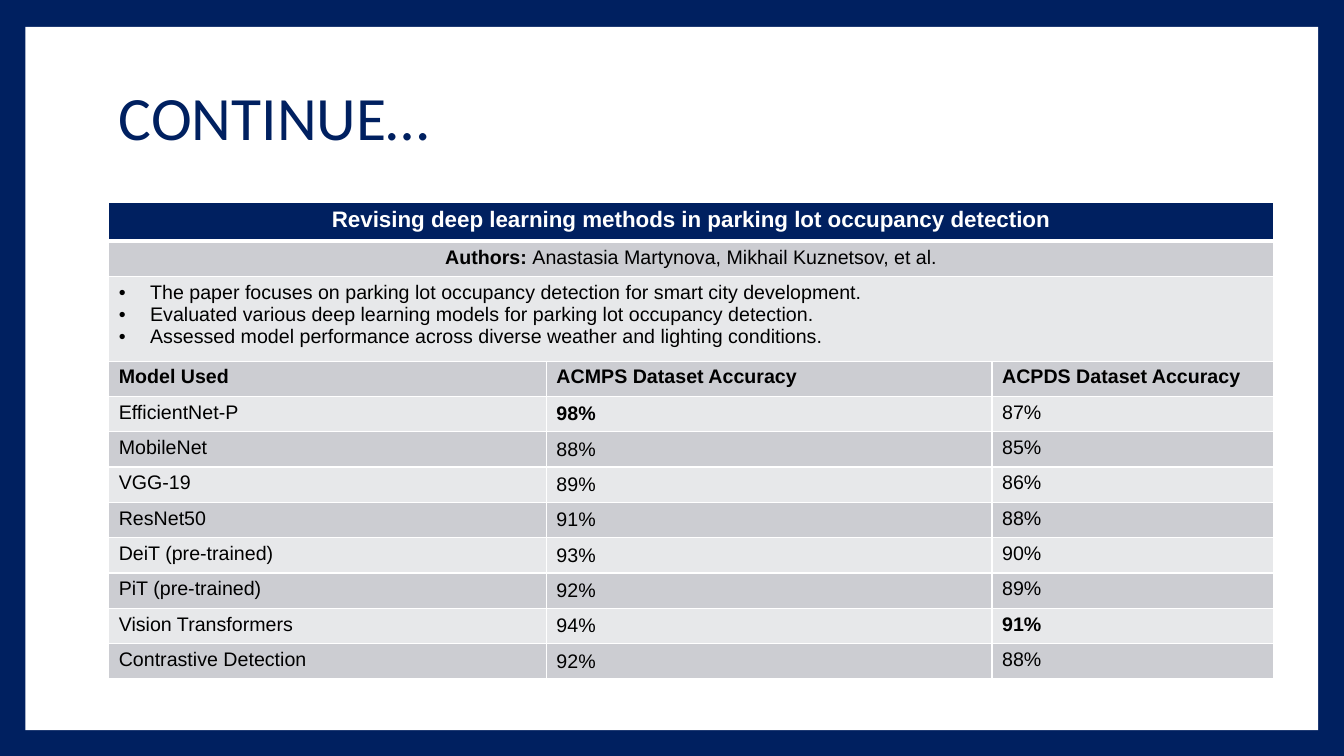
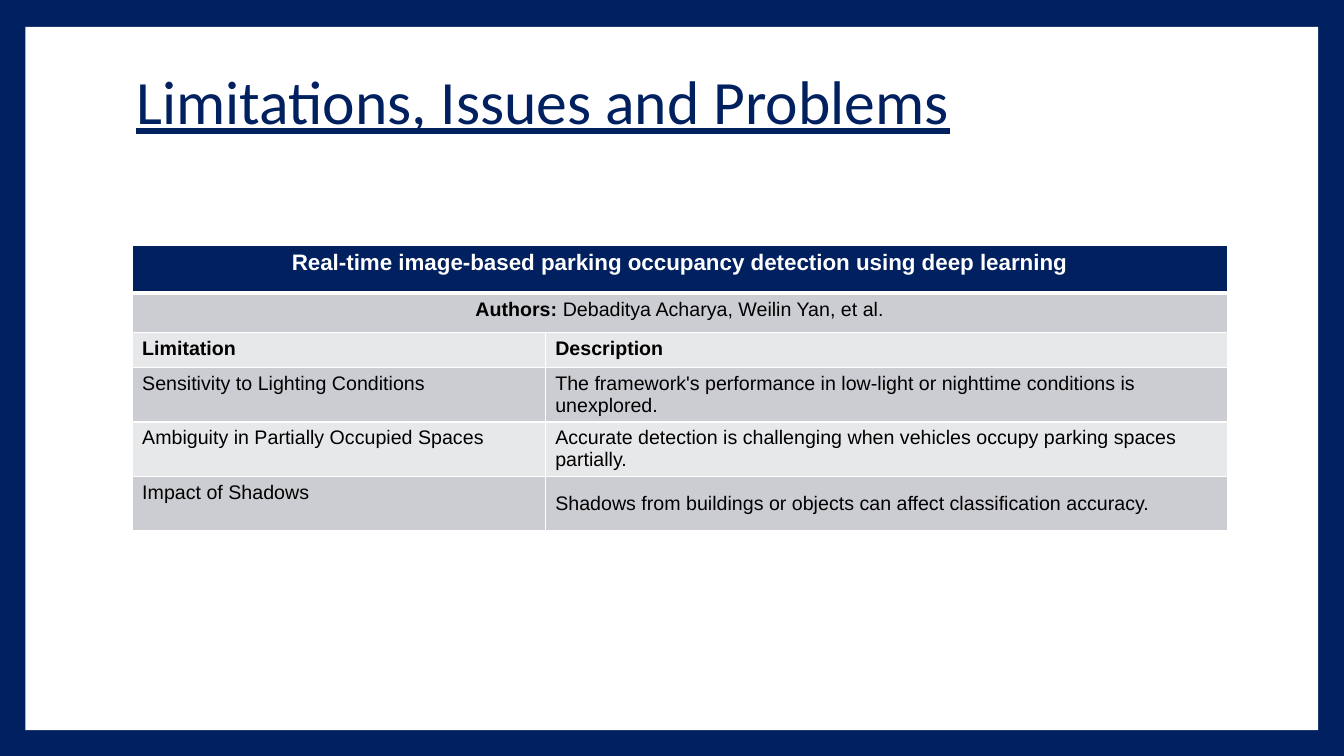
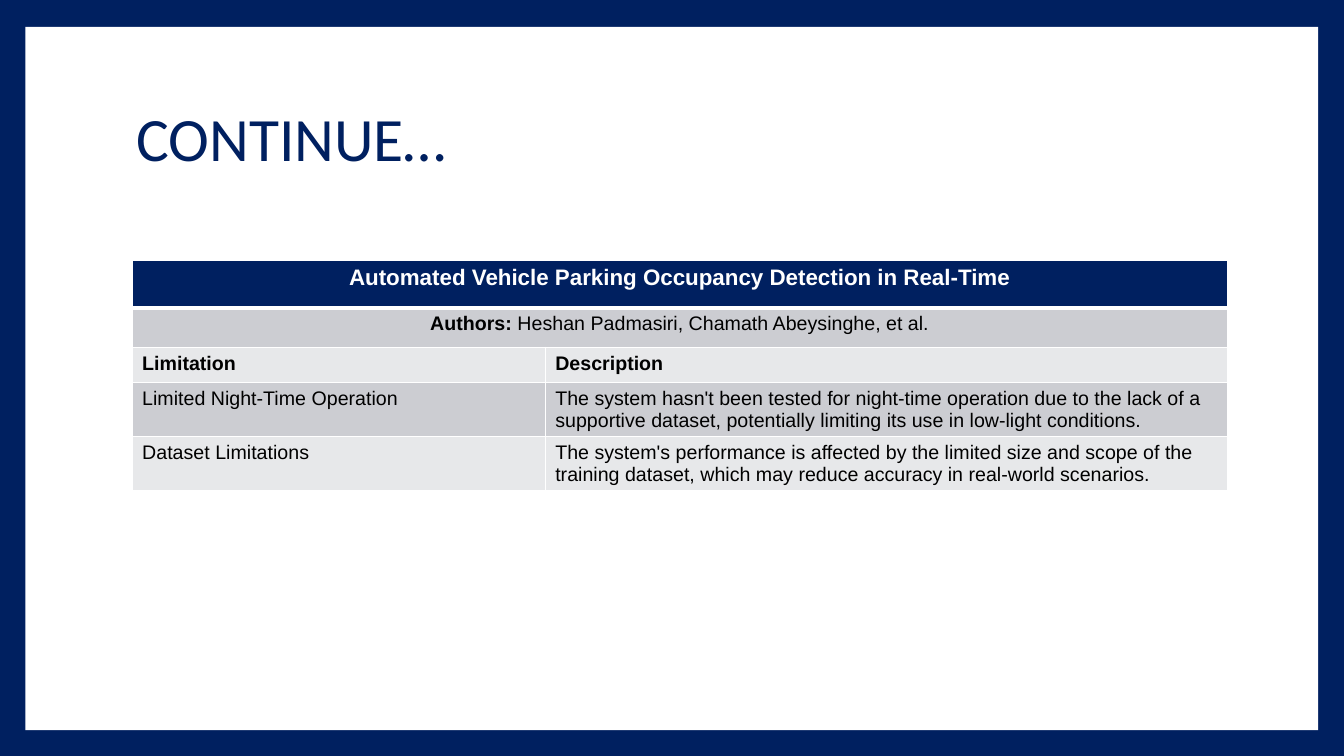
from lxml.etree import SubElement
from pptx import Presentation
from pptx.dml.color import RGBColor
from pptx.enum.shapes import MSO_SHAPE as Preset
from pptx.enum.text import MSO_ANCHOR as Anchor, PP_ALIGN as Align
from pptx.oxml import parse_xml
from pptx.oxml.ns import nsdecls, qn
from pptx.util import Cm, Pt

NAVY = RGBColor(0x00, 0x20, 0x60)
WHITE = RGBColor(0xFF, 0xFF, 0xFF)
BLACK = RGBColor(0x00, 0x00, 0x00)
DARK_BAND = RGBColor(0xCC, 0xCD, 0xD2)
LIGHT_BAND = RGBColor(0xE7, 0xE8, 0xEA)
TITLE_FONT, TABLE_FONT = "Calibri", "Arial"

# Content: lengths in centimetres
LIMITATION_LAYOUT = {
    "title_at": (3.18, 1.7),
    "columns": (10.41, 17.19),
    "top_rows": (1.2, 0.99),
    "row_height": 1.36,
    "header": ("Limitation", "Description"),
}
SLIDES = [
    {
        "title": "CONTINUE…",
        "title_at": (2.74, 1.17),
        "table_at": (2.74, 5.11),
        "columns": (11.03, 11.23, 7.1),
        "top_rows": (0.97, 0.89),
        "row_height": 0.89,
        "paper": "Revising deep learning methods in parking lot occupancy detection",
        "authors": "Anastasia Martynova, Mikhail Kuznetsov, et al.",
        "points": [
            "The paper focuses on parking lot occupancy detection for smart city development.",
            "Evaluated various deep learning models for parking lot occupancy detection.",
            "Assessed model performance across diverse weather and lighting conditions.",
        ],
        "header": ("Model Used", "ACMPS Dataset Accuracy", "ACPDS Dataset Accuracy"),
        "rows": [
            ("EfficientNet-P", "98%", "87%"),
            ("MobileNet", "88%", "85%"),
            ("VGG-19", "89%", "86%"),
            ("ResNet50", "91%", "88%"),
            ("DeiT (pre-trained)", "93%", "90%"),
            ("PiT (pre-trained)", "92%", "89%"),
            ("Vision Transformers", "94%", "91%"),
            ("Contrastive Detection", "92%", "88%"),
        ],
    },
    {
        **LIMITATION_LAYOUT,
        "title": "Limitations, Issues and Problems",
        "underline": True,
        "title_bottom_inset": 2,
        "table_at": (3.33, 6.19),
        "paper": "Real-time image-based parking occupancy detection using deep learning",
        "authors": "Debaditya Acharya, Weilin Yan, et al.",
        "rows": [
            ("Sensitivity to Lighting Conditions",
             "The framework's performance in low-light or nighttime conditions is unexplored."),
            ("Ambiguity in Partially Occupied Spaces",
             "Accurate detection is challenging when vehicles occupy parking spaces partially."),
            ("Impact of Shadows",
             "Shadows from buildings or objects can affect classification accuracy."),
        ],
    },
    {
        **LIMITATION_LAYOUT,
        "title": "CONTINUE…",
        "table_at": (3.33, 6.56),
        "paper": "Automated Vehicle Parking Occupancy Detection in Real-Time",
        "authors": "Heshan Padmasiri, Chamath Abeysinghe, et al.",
        "rows": [
            ("Limited Night-Time Operation",
             "The system hasn't been tested for night-time operation due to the lack of a "
             "supportive dataset, potentially limiting its use in low-light conditions."),
            ("Dataset Limitations",
             "The system's performance is affected by the limited size and scope of the "
             "training dataset, which may reduce accuracy in real-world scenarios."),
        ],
    },
]
POINTS_HEIGHT, HEADER_HEIGHT = 2.13, 0.89


def add_run(paragraph, text, size=14, color=BLACK, bold=False, font=TABLE_FONT):
    run = paragraph.add_run()
    run.text = text
    run.font.name, run.font.size, run.font.bold = font, Pt(size), bold
    run.font.color.rgb = color
    return run


def add_bullet(paragraph):
    properties = paragraph._p.get_or_add_pPr()
    properties.set("marL", str(Cm(0.79)))
    properties.set("indent", str(-Cm(0.79)))
    SubElement(properties, qn("a:buFont")).set("typeface", TABLE_FONT)
    SubElement(properties, qn("a:buChar")).set("char", "•")


def set_borders(cell, top=1, bottom=1):
    properties = cell._tc.get_or_add_tcPr()
    for index, (side, width) in enumerate(
            [("L", 1), ("R", 1), ("T", top), ("B", bottom)]):
        properties.insert(index, parse_xml(
            f'<a:ln{side} {nsdecls("a")} w="{Pt(width)}"><a:solidFill>'
            f'<a:srgbClr val="{WHITE}"/></a:solidFill></a:ln{side}>'))


def add_panel(slide):
    """White panel that leaves the navy background as a frame."""
    panel = slide.shapes.add_shape(
        Preset.RECTANGLE, Cm(0.64), Cm(0.68), Cm(32.58), Cm(17.72))
    panel.shadow.inherit = False
    panel.fill.solid()
    panel.fill.fore_color.rgb = WHITE
    panel.line.fill.background()
    slide.shapes.element.insert(2, panel.element)


def fill_title(title, content):
    title.left, title.top = map(Cm, content["title_at"])
    title.width, title.height = Cm(27.43), Cm(3.76)
    frame = title.text_frame
    frame.vertical_anchor = Anchor.MIDDLE
    frame.margin_bottom = Cm(content.get("title_bottom_inset", 0.13))
    paragraph = frame.paragraphs[0]
    paragraph.alignment = Align.LEFT
    paragraph.line_spacing = 0.9
    run = add_run(paragraph, content["title"], 44, NAVY, font=TITLE_FONT)
    run.font.underline = content.get("underline", False)


def add_paper_table(slide, content):
    points = content.get("points", [])
    rows, columns = content["rows"], content["columns"]
    heights = [*content["top_rows"], *([POINTS_HEIGHT] if points else []),
               HEADER_HEIGHT, *[content["row_height"]] * len(rows)]
    left, top = map(Cm, content["table_at"])
    table = slide.shapes.add_table(
        len(heights), len(columns), left, top,
        Cm(sum(columns)), Cm(sum(heights))).table
    for column, width in zip(table.columns, columns):
        column.width = Cm(width)

    # Bands and borders
    for index, (row, height) in enumerate(zip(table.rows, heights)):
        row.height = Cm(height)
        for cell in row.cells:
            cell.fill.solid()
            cell.fill.fore_color.rgb = (
                NAVY if index == 0 else DARK_BAND if index % 2 else LIGHT_BAND)
            set_borders(cell, 3 if index == 1 else 1, 3 if index == 0 else 1)

    # Full-width rows: paper, authors, key points
    header_index = len(heights) - len(rows) - 1
    for index in range(header_index):
        table.cell(index, 0).merge(table.cell(index, len(columns) - 1))
    paper, authors = (table.cell(index, 0).text_frame.paragraphs[0] for index in (0, 1))
    paper.alignment = authors.alignment = Align.CENTER
    add_run(paper, content["paper"], 16, WHITE, True)
    add_run(authors, "Authors: ", bold=True)
    add_run(authors, content["authors"])
    for index, point in enumerate(points):
        frame = table.cell(2, 0).text_frame
        paragraph = frame.add_paragraph() if index else frame.paragraphs[0]
        add_bullet(paragraph)
        add_run(paragraph, point)

    # Column heads and data, with the best accuracy of each column in bold
    for column, (head, *values) in enumerate(zip(content["header"], *rows)):
        add_run(table.cell(header_index, column).text_frame.paragraphs[0], head, bold=True)
        for index, value in enumerate(values, header_index + 1):
            cell = table.cell(index, column)
            if column == 1:
                cell.vertical_anchor = Anchor.MIDDLE
            best = value.endswith("%") and value == max(values)
            add_run(cell.text_frame.paragraphs[0], value, bold=best)


def main():
    presentation = Presentation()
    presentation.slide_width, presentation.slide_height = Cm(33.87), Cm(19.05)
    background = presentation.slide_master.background.fill
    background.solid()
    background.fore_color.rgb = NAVY
    title_only = presentation.slide_layouts[5]
    for content in SLIDES:
        slide = presentation.slides.add_slide(title_only)
        add_panel(slide)
        fill_title(slide.shapes.title, content)
        add_paper_table(slide, content)
    presentation.save("out.pptx")


if __name__ == "__main__":
    main()
